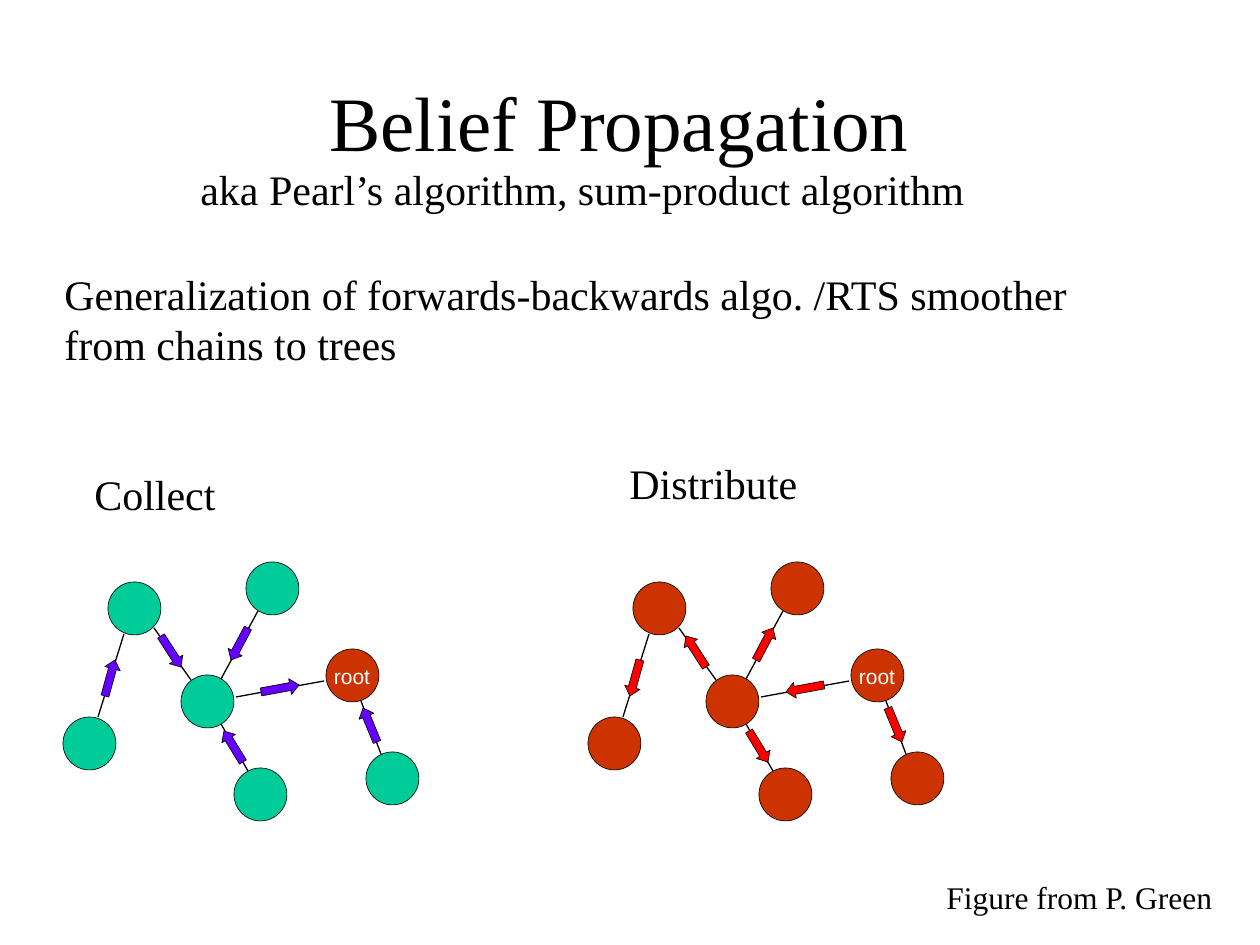
from math import hypot

from lxml.etree import SubElement
from pptx import Presentation
from pptx.dml.color import RGBColor
from pptx.enum.shapes import MSO_CONNECTOR, MSO_SHAPE
from pptx.enum.text import MSO_ANCHOR, MSO_AUTO_SIZE, PP_ALIGN
from pptx.oxml.ns import qn
from pptx.util import Pt

EMU_PER_PX = 914400 / 126
COLORS = {
    "black": "000000",
    "white": "FFFFFF",
    "waiting": "00CC99",
    "informed": "CC3300",
    "collect": "6600FF",
    "distribute": "FF0000",
}
SERIF = "Times New Roman"
SANS = "Arial"

NODE_SIZE = 53
NODES = {
    "far left": (0, 155),
    "upper left": (45, 20),
    "hub": (118, 113),
    "bottom": (171, 206),
    "top": (183, 0),
    "root": (263, 87),
    "right": (303, 190),
}
EDGES = [
    ((35, 155), (61, 72)),
    ((91, 66), (128, 118)),
    ((195, 49), (158, 117)),
    ((173, 135), (261, 119)),
    ((185, 209), (158, 162)),
    ((318, 192), (298, 139)),
]
MESSAGES_TO_ROOT = [
    ((42, 134), (52, 98)),
    ((98, 74), (118, 105)),
    ((185, 66), (168, 98)),
    ((198, 130), (236, 123)),
    ((180, 200), (161, 169)),
    ((314, 180), (300, 146)),
]


def px(*lengths):
    return [round(length * EMU_PER_PX) for length in lengths]


def color(name):
    return RGBColor.from_string(COLORS[name])


def format_text(frame, size, font, color_name="black"):
    for para in frame.paragraphs:
        for span in para.runs:
            span.font.size = Pt(size)
            span.font.name = font
            span.font.color.rgb = color(color_name)


def paint(shape, fill):
    shape.shadow.inherit = False
    shape.fill.solid()
    shape.fill.fore_color.rgb = color(fill)
    shape.line.color.rgb = color("black")
    shape.line.width = Pt(0.37)


def add_text(page, box, text, size, font=SERIF, color_name="black", inset=True):
    frame = page.shapes.add_textbox(*px(*box)).text_frame
    frame.word_wrap = False
    frame.auto_size = MSO_AUTO_SIZE.SHAPE_TO_FIT_TEXT
    if not inset:
        frame.margin_left = frame.margin_right = 0
        frame.margin_top = frame.margin_bottom = 0
    frame.text = text
    format_text(frame, size, font, color_name)


def add_title(page, box, text):
    title = page.shapes.title
    title.left, title.top, title.width, title.height = px(*box)
    frame = title.text_frame
    frame.text = text
    frame.vertical_anchor = MSO_ANCHOR.MIDDLE
    frame.paragraphs[0].alignment = PP_ALIGN.CENTER
    format_text(frame, 44, SERIF)


def add_edge(page, start, end):
    edge = page.shapes.add_connector(MSO_CONNECTOR.STRAIGHT, *px(*start, *end))
    edge.line.color.rgb = color("black")
    edge.line.width = Pt(0.75)
    SubElement(edge._element.spPr, qn("a:effectLst"))


def add_message(page, tail, tip, fill):
    shaft, head, head_length = 4, 8, 9
    length = hypot(tip[0] - tail[0], tip[1] - tail[1])
    ux, uy = (tip[0] - tail[0]) / length, (tip[1] - tail[1]) / length
    neck = length - head_length
    outline = [
        (0, shaft), (neck, shaft), (neck, head), (length, 0),
        (neck, -head), (neck, -shaft), (0, -shaft),
    ]
    points = [
        px(tail[0] + along * ux - across * uy, tail[1] + along * uy + across * ux)
        for along, across in outline
    ]
    builder = page.shapes.build_freeform(*points[0])
    builder.add_line_segments(points[1:], close=True)
    paint(builder.convert_to_shape(), fill)


def add_tree(page, left, top, node_fill, message_fill, outward):
    def place(point):
        return left + point[0], top + point[1]

    for start, end in EDGES:
        add_edge(page, place(start), place(end))
    for tail, tip in MESSAGES_TO_ROOT:
        if outward:
            tail, tip = tip, tail
        add_message(page, place(tail), place(tip), message_fill)
    for name, corner in NODES.items():
        box = (*place(corner), NODE_SIZE, NODE_SIZE)
        node = page.shapes.add_shape(MSO_SHAPE.OVAL, *px(*box))
        paint(node, "informed" if name == "root" else node_fill)
    root_left, root_top = place(NODES["root"])
    label = (root_left + 8, root_top + 15, 37, 25)
    add_text(page, label, "root", 12, SANS, "white", inset=False)


def main():
    deck = Presentation()
    deck.slide_width, deck.slide_height = px(1260, 945)
    page = deck.slides.add_slide(deck.slide_layouts[5])
    add_title(page, (84, 42, 1071, 158), "Belief Propagation")
    add_text(page, (188, 157, 794, 63), "aka Pearl’s algorithm, sum-product algorithm", 24)
    add_text(
        page, (52, 262, 1043, 113),
        "Generalization of forwards-backwards algo. /RTS smoother\vfrom chains to trees", 24,
    )
    add_text(page, (82, 462, 152, 63), "Collect", 24)
    add_tree(page, 63, 562, "waiting", "collect", outward=False)
    add_text(page, (617, 451, 198, 63), "Distribute", 24)
    add_tree(page, 588, 562, "informed", "distribute", outward=True)
    add_text(page, (934, 872, 298, 50), "Figure from P. Green", 18)
    deck.save("out.pptx")


if __name__ == "__main__":
    main()
